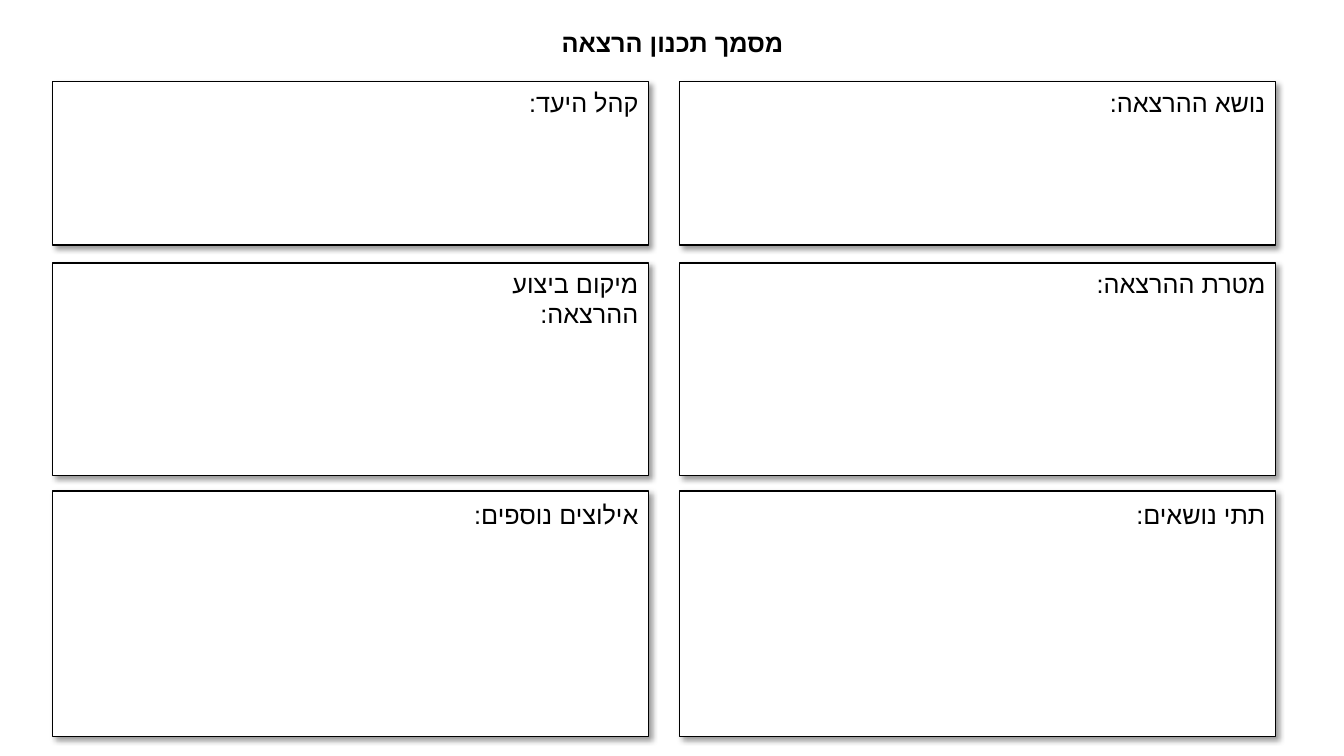
"""Build a one-page lecture planning form with six labelled panels."""
from dataclasses import dataclass

from lxml.etree import SubElement
from pptx import Presentation
from pptx.dml.color import RGBColor
from pptx.enum.shapes import MSO_SHAPE as Preset
from pptx.enum.text import MSO_AUTO_SIZE as AutoSize, PP_ALIGN as Align
from pptx.oxml.ns import qn
from pptx.slide import Slide
from pptx.util import Inches, Pt

BLACK = RGBColor(0x00, 0x00, 0x00)
WHITE = RGBColor(0xFF, 0xFF, 0xFF)
FONT = "Quicksand"
HEBREW_FONT = "Arial"
PANEL_WIDTH = 5.91
LABEL_HEIGHT = 0.4
RIGHT_COLUMN, LEFT_COLUMN = 6.74, 0.52
TITLE = "מסמך תכנון הרצאה"


@dataclass(frozen=True)
class Row:
    top: float
    height: float
    label_top: float


@dataclass(frozen=True)
class Panel:
    label: str
    label_width: float
    left: float
    row: Row


TOP_ROW = Row(0.81, 1.62, 0.82)
MIDDLE_ROW = Row(2.61, 2.11, 2.61)
BOTTOM_ROW = Row(4.87, 2.44, 4.9)

PANELS = (
    Panel("נושא ההרצאה:", 1.8, RIGHT_COLUMN, TOP_ROW),
    Panel("מטרת ההרצאה:", 1.89, RIGHT_COLUMN, MIDDLE_ROW),
    Panel("תתי נושאים:", 2.66, RIGHT_COLUMN, BOTTOM_ROW),
    Panel("מיקום ביצוע ההרצאה:", 2.38, LEFT_COLUMN, MIDDLE_ROW),
    Panel("קהל היעד:", 1.89, LEFT_COLUMN, TOP_ROW),
    Panel("אילוצים נוספים:", 1.89, LEFT_COLUMN, BOTTOM_ROW),
)


def add_text(page: Slide, text: str, left: float, top: float, width: float,
             align: Align, bold: bool = False) -> None:
    box = page.shapes.add_textbox(
        Inches(left), Inches(top), Inches(width), Inches(LABEL_HEIGHT))
    frame = box.text_frame
    frame.word_wrap = True
    frame.auto_size = AutoSize.SHAPE_TO_FIT_TEXT
    para = frame.paragraphs[0]
    para.alignment = align
    para._p.get_or_add_pPr().set("rtl", "1")
    span = para.add_run()
    span.text = text
    for name, value in {"size": Pt(18), "name": FONT, "bold": bold}.items():
        setattr(span.font, name, value)
    span.font.color.rgb = BLACK
    properties = span._r.get_or_add_rPr()
    properties.set("lang", "he-IL")
    SubElement(properties, qn("a:cs"), typeface=HEBREW_FONT)


def add_shadow(properties) -> None:
    effects = properties.find(qn("a:effectLst"))
    shadow = SubElement(
        effects, qn("a:outerShdw"), blurRad=str(Pt(4)), dist=str(Pt(3)),
        dir=str(45 * 60000), algn="tl", rotWithShape="0")
    color = SubElement(shadow, qn("a:srgbClr"), val=str(BLACK))
    SubElement(color, qn("a:alpha"), val="40000")


def add_panel(page: Slide, panel: Panel) -> None:
    row = panel.row
    box = page.shapes.add_shape(
        Preset.RECTANGLE, Inches(panel.left), Inches(row.top),
        Inches(PANEL_WIDTH), Inches(row.height))
    box.fill.solid()
    box.fill.fore_color.rgb = WHITE
    box.line.color.rgb = BLACK
    box.line.width = Pt(1)
    box.shadow.inherit = False
    add_shadow(box._element.spPr)
    label_left = panel.left + PANEL_WIDTH - panel.label_width
    add_text(page, panel.label, label_left, row.label_top,
             panel.label_width, Align.RIGHT)


def main() -> None:
    deck = Presentation()
    deck.slide_width, deck.slide_height = Inches(13.33), Inches(7.5)
    page = deck.slides.add_slide(deck.slide_layouts[6])
    for panel in PANELS:
        add_panel(page, panel)
    add_text(page, TITLE, 5.03, 0.22, 3.28, Align.CENTER, bold=True)
    deck.save("out.pptx")


if __name__ == "__main__":
    main()
